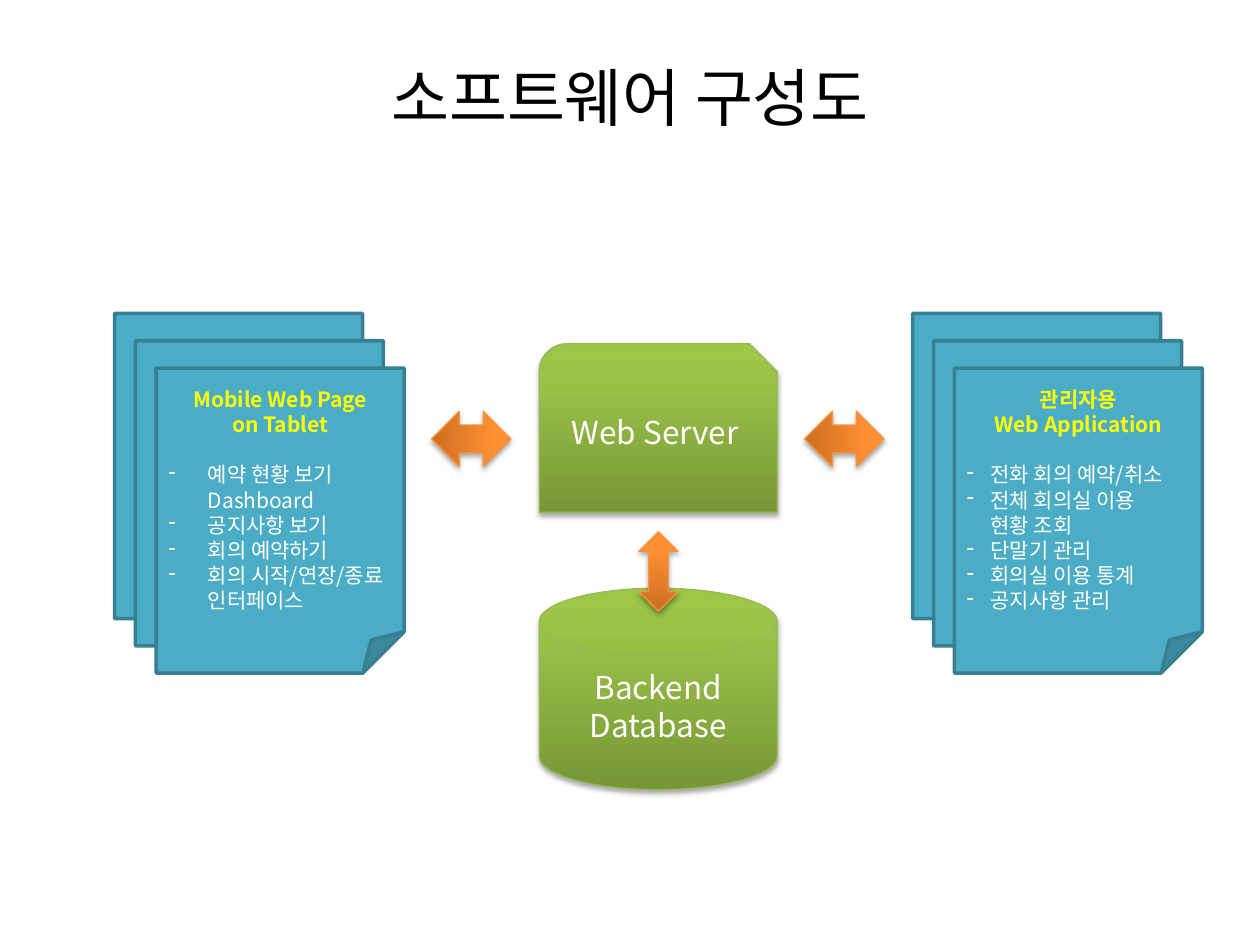
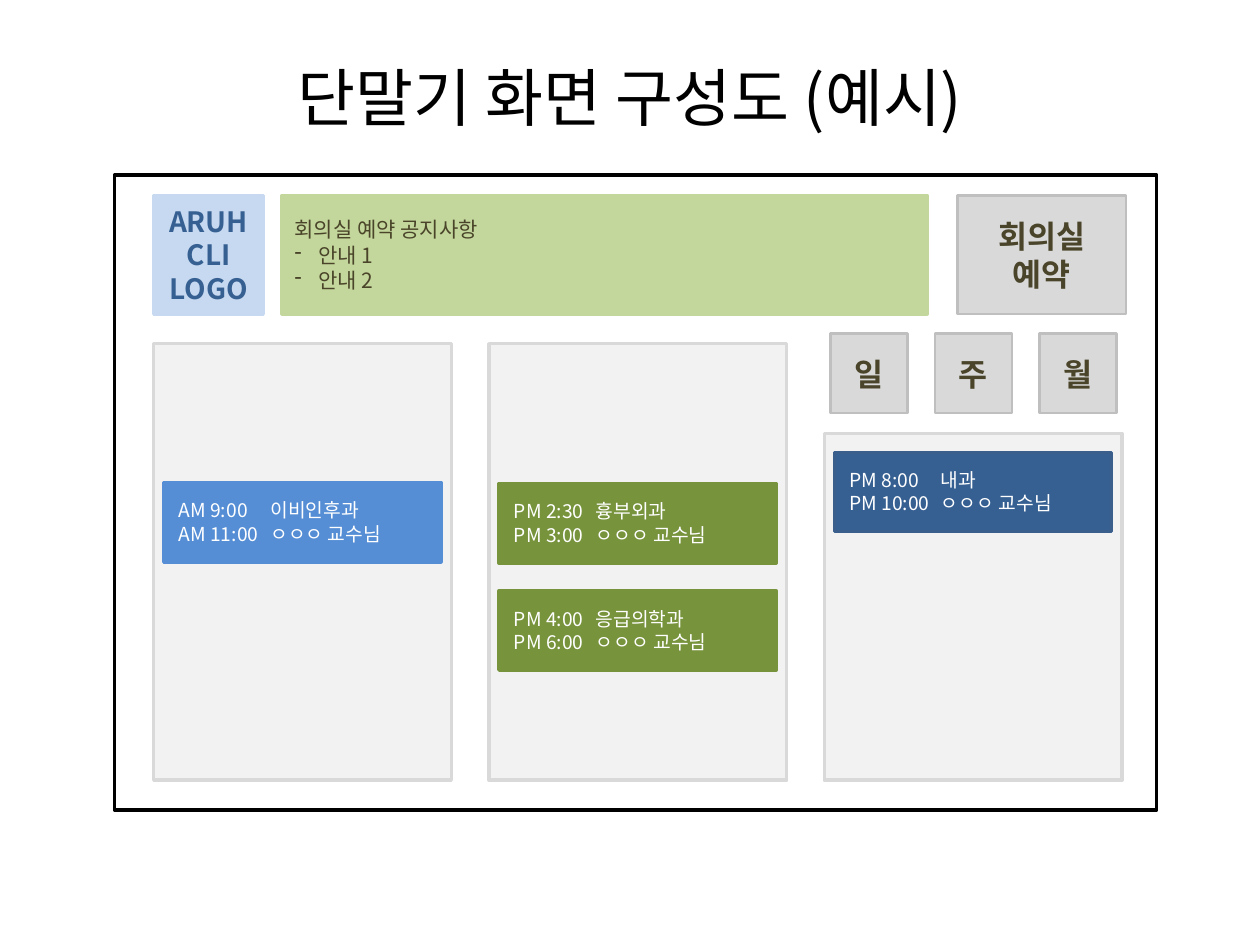
"""Build two slides: a software architecture and a sample terminal screen."""
import copy

import pptx
import pptx.dml.color
import pptx.enum.shapes
import pptx.enum.text
import pptx.oxml
import pptx.oxml.ns
import pptx.util
from pptx.util import Cm, Pt

FONT = "Noto Sans CJK KR"
SHAPE = pptx.enum.shapes.MSO_SHAPE
ALIGN = pptx.enum.text.PP_ALIGN
ANCHOR = pptx.enum.text.MSO_ANCHOR
qn = pptx.oxml.ns.qn

COLORS = {
    "black": "000000", "white": "FFFFFF", "yellow": "FFFF00",
    "note": "4BACC6", "note_line": "377F92",
    "server_line": "98B955", "arrow_line": "F69240",
    "notice": "C3D69B", "brown": "4A452A",
    "button": "D9D9D9", "button_line": "BFBFBF", "column": "F2F2F2",
    "logo": "C6D9F1", "navy": "376092", "navy_line": "3A5F8C",
    "blue": "558ED5", "green": "77933C",
}
GREEN_STOPS = ("779737", "9BC348", "9DC746")
ORANGE_STOPS = ("CC6E20", "FF9034", "FF9136")


def rgb(value):
    """Turn a hex string into a colour."""
    return pptx.dml.color.RGBColor.from_string(value)


def format_paragraph(paragraph, size, color, bold=False, align=ALIGN.LEFT):
    """Format every run and line break of a paragraph."""
    paragraph.alignment = align
    for run in paragraph.runs:
        run.font.size = Pt(size)
        run.font.bold = bold
        run.font.color.rgb = rgb(COLORS[color])
        run.font.name = FONT
        properties = run.font._element
        east_asian = properties.makeelement(qn("a:ea"), {"typeface": FONT})
        properties.find(qn("a:latin")).addnext(east_asian)
        for line_break in paragraph._p.findall(qn("a:br")):
            if len(line_break) == 0:
                line_break.append(copy.deepcopy(properties))


def set_text(shape, text, size, color, bold=False, align=ALIGN.CENTER):
    """Fill a shape with uniformly formatted paragraphs."""
    shape.text_frame.text = text
    for paragraph in shape.text_frame.paragraphs:
        format_paragraph(paragraph, size, color, bold, align)


def add_bullets(text_frame, items, indent, color):
    """Append dash bullets with a hanging indent."""
    for item in items:
        paragraph = text_frame.add_paragraph()
        paragraph.text = item
        format_paragraph(paragraph, 12, color)
        properties = paragraph._p.get_or_add_pPr()
        properties.set("marL", str(Cm(indent)))
        properties.set("indent", str(-Cm(indent)))
        properties.append(properties.makeelement(qn("a:buChar"), {"char": "-"}))


def add_box(shapes, kind, box, fill, line, width):
    """Add a flat shape; box is left, top, width, height in centimetres."""
    shape = shapes.add_shape(kind, *map(Cm, box))
    shape.shadow.inherit = False
    shape.fill.solid()
    shape.fill.fore_color.rgb = rgb(COLORS[fill])
    shape.line.color.rgb = rgb(COLORS[line])
    shape.line.width = Pt(width)
    return shape


def add_glossy(shapes, kind, box, stops, line):
    """Add a shape with a vertical gradient and a soft shadow."""
    shape = add_box(shapes, kind, box, "white", line, 0.75)
    shape.fill.gradient()
    shape.fill.gradient_angle = 90
    properties = shape._element.spPr
    last_stop = properties.find(".//" + qn("a:gsLst"))[-1]
    middle_stop = copy.deepcopy(last_stop)
    middle_stop.set("pos", "80000")
    last_stop.addprevious(middle_stop)
    for stop, color in zip(shape.fill.gradient_stops, stops):
        stop.color.rgb = rgb(color)
    properties.find(qn("a:effectLst")).append(pptx.oxml.parse_xml(
        f'<a:outerShdw {pptx.oxml.ns.nsdecls("a")} blurRad="{Pt(3.1)}" dist="{Pt(1.8)}"'
        ' dir="5400000" rotWithShape="0"><a:srgbClr val="000000">'
        '<a:alpha val="35000"/></a:srgbClr></a:outerShdw>'))
    return shape


def add_titled_slide(presentation, title):
    """Add a title-only slide with the shared title style."""
    slide = presentation.slides.add_slide(presentation.slide_layouts[5])
    shape = slide.shapes.title
    shape.left, shape.top, shape.width, shape.height = map(Cm, (1.27, 0.76, 22.86, 2.36))
    set_text(shape, title, 36, "black")
    shape.text_frame.vertical_anchor = ANCHOR.MIDDLE
    shape.text_frame.auto_size = pptx.enum.text.MSO_AUTO_SIZE.NONE
    return slide


def add_note_stack(slide, left, heading, items, indent):
    """Add three overlapping notes with text on the front one."""
    group = slide.shapes.add_group_shape()
    for index in range(3):
        box = (left + 0.42 * index, 6.32 + 0.55 * index, 5, 6.15)
        note = add_box(group.shapes, SHAPE.FOLDED_CORNER, box, "note", "note_line", 2)
    set_text(note, heading, 12, "yellow", bold=True)
    note.text_frame.paragraphs[-1].space_after = Pt(14.3)
    add_bullets(note.text_frame, items, indent, "white")


def add_button(slide, box, text):
    """Add a grey button with a bold label."""
    button = add_box(slide.shapes, SHAPE.RECTANGLE, box, "button", "button_line", 1.5)
    set_text(button, text, 18, "brown", bold=True)


def add_booking(slide, left, top, fill, line, tab, rows):
    """Add a booking card with times and names split by a tab stop."""
    group = slide.shapes.add_group_shape()
    add_box(group.shapes, SHAPE.RECTANGLE, (left, top, 5.59, 1.6), fill, line, 2)
    label = group.shapes.add_textbox(*map(Cm, (left + 0.05, top + 0.2, 5.21, 1.2)))
    label.text_frame.word_wrap = True
    set_text(label, "\v".join("\t".join(row) for row in rows), 11, "white", align=ALIGN.LEFT)
    properties = label.text_frame.paragraphs[0]._p.get_or_add_pPr()
    properties.append(pptx.oxml.parse_xml(
        f'<a:tabLst {pptx.oxml.ns.nsdecls("a")}><a:tab pos="{Cm(tab)}" algn="l"/></a:tabLst>'))


def build_architecture(presentation):
    """Build the software architecture slide."""
    slide = add_titled_slide(presentation, "소프트웨어 구성도")
    shapes = slide.shapes
    for kind, top, height, text in (
            (SHAPE.FLOWCHART_MAGNETIC_DISK, 11.86, 4.06, "Backend\nDatabase"),
            (SHAPE.SNIP_ROUND_RECTANGLE, 6.93, 3.4, "Web Server")):
        node = add_glossy(shapes, kind, (10.87, top, 4.8, height), GREEN_STOPS, "server_line")
        set_text(node, text, 18, "white")
    add_note_stack(slide, 2.31, "Mobile Web Page\von Tablet", (
        "예약 현황 보기\vDashboard", "공지사항 보기", "회의 예약하기",
        "회의 시작/연장/종료 인터페이스"), 0.79)
    add_note_stack(slide, 18.4, "관리자용\nWeb Application", (
        "전화 회의 예약/취소", "전체 회의실 이용\v현황 조회", "단말기 관리",
        "회의실 이용 통계", "공지사항 관리"), 0.48)
    for left, top, width, rotation in (
            (12.88, 10.72, 0.79, 0), (8.94, 8.05, 1.12, 90), (16.46, 8.05, 1.12, 90)):
        arrow = add_glossy(shapes, SHAPE.UP_DOWN_ARROW, (left, top, width, 1.6),
                           ORANGE_STOPS, "arrow_line")
        arrow.rotation = rotation


def build_terminal_screen(presentation):
    """Build the sample terminal screen slide."""
    slide = add_titled_slide(presentation, "단말기 화면 구성도 (예시)")
    shapes = slide.shapes
    add_box(shapes, SHAPE.RECTANGLE, (2.31, 3.53, 21.01, 12.8), "white", "black", 2)

    header_top, header_height = 3.94, 2.39
    logo = add_box(shapes, SHAPE.RECTANGLE, (3.1, header_top, 2.21, header_height),
                   "logo", "logo", 2)
    set_text(logo, "ARUH\vCLI\nLOGO", 16, "navy", bold=True)
    notice = add_box(shapes, SHAPE.RECTANGLE, (5.69, header_top, 13, header_height),
                     "notice", "notice", 2)
    set_text(notice, "회의실 예약 공지사항", 12, "brown", align=ALIGN.LEFT)
    add_bullets(notice.text_frame, ("안내 1", "안내 2"), 0.48, "brown")
    add_button(slide, (19.3, header_top, 3.4, header_height), "회의실\v예약")
    for index, label in enumerate("일주월"):
        add_button(slide, (16.74 + 2.11 * index, 6.73, 1.55, 1.6), label)

    column_lefts = [3.1 + 6.76 * index for index in range(3)]
    for left, top in zip(column_lefts, (6.93, 6.93, 8.74)):
        add_box(shapes, SHAPE.RECTANGLE, (left, top, 6, 15.73 - top), "column", "button", 2)

    professor = "ㅇㅇㅇ 교수님"
    for column, top, fill, line, tab, start, end, department in (
            (0, 9.73, "blue", "blue", 1.85, "AM 9:00", "AM 11:00", "이비인후과"),
            (1, 9.75, "green", "green", 1.65, "PM 2:30", "PM 3:00", "흉부외과"),
            (1, 11.91, "green", "green", 1.65, "PM 4:00", "PM 6:00", "응급의학과"),
            (2, 9.12, "navy", "navy_line", 1.85, "PM 8:00", "PM 10:00", "내과")):
        add_booking(slide, column_lefts[column] + 0.2, top, fill, line, tab,
                    ((start, department), (end, professor)))


def main():
    """Create and save the presentation."""
    presentation = pptx.Presentation()
    presentation.slide_width, presentation.slide_height = Cm(25.4), Cm(19.05)
    build_architecture(presentation)
    build_terminal_screen(presentation)
    presentation.save("out.pptx")


main()
